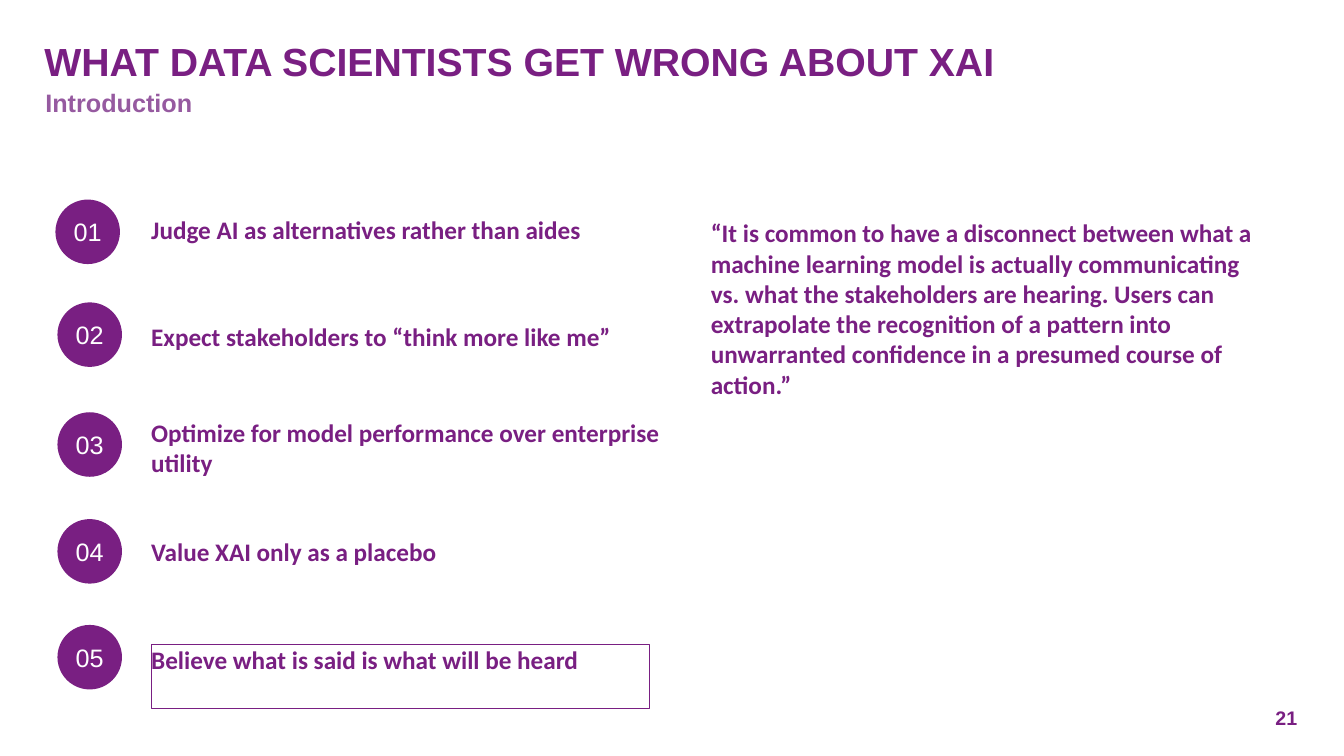
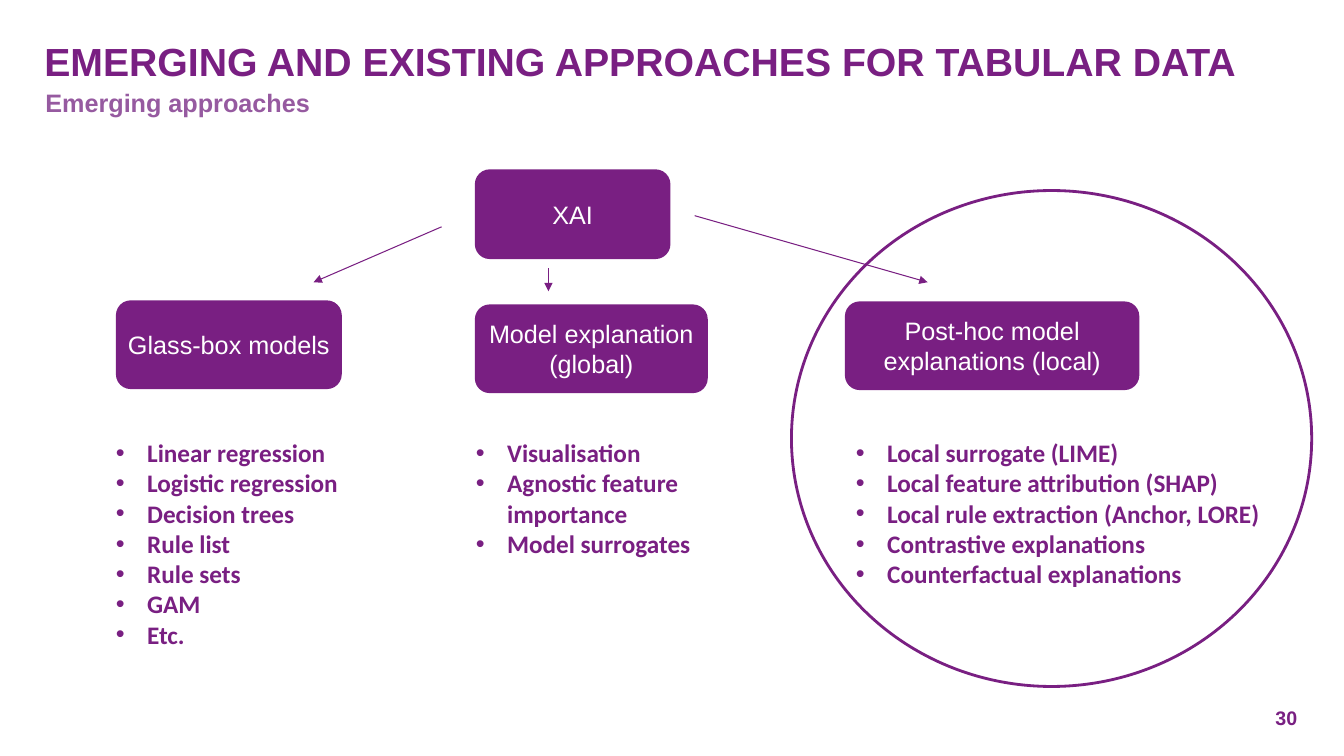
import pptx
import pptx.util
import pptx.dml.color
import pptx.enum.shapes
import pptx.enum.text
from lxml import etree

Inches = pptx.util.Inches
Pt = pptx.util.Pt
SHAPE = pptx.enum.shapes.MSO_SHAPE
ANCHOR = pptx.enum.text.MSO_ANCHOR
ALIGN = pptx.enum.text.PP_ALIGN

COLORS = {"purple": "791F82", "lilac": "965AA0", "white": "FFFFFF"}
FORMATS = {
    "title": ({"name": "Arial", "size": Pt(28), "bold": True}, "purple"),
    "subtitle": ({"name": "Arial", "size": Pt(18), "bold": True}, "lilac"),
    "number": ({"name": "Arial", "size": Pt(14), "bold": True}, "purple"),
    "node": ({"name": "Arial", "size": Pt(18), "bold": False}, "white"),
    "body": ({"name": "Calibri", "size": Pt(18), "bold": True}, "purple"),
}
CIRCLE = 0.64
INDENT = 0.31

MISTAKES = [
    (0.55, 1.98, 2.13, 5.1, "Judge AI as alternatives rather than aides"),
    (0.57, 3.0, 3.19, 5.27, "Expect stakeholders to “think more like me”"),
    (0.57, 4.09, 4.14, 5.1, "Optimize for model performance over enterprise utility"),
    (0.57, 5.15, 5.32, 5.1, "Value XAI only as a placebo"),
    (0.57, 6.2, 6.39, 4.94, "Believe what is said is what will be heard"),
]
QUOTE = (
    "“It is common to have a disconnect between what a machine learning model is "
    "actually communicating vs. what the stakeholders are hearing. Users can "
    "extrapolate the recognition of a pattern into unwarranted confidence in a "
    "presumed course of action.”"
)
APPROACHES = [
    ("Glass-box models", (1.15, 2.98, 2.24, 0.88), (1.15, 4.34, 2.46, 2.24),
     ["Linear regression", "Logistic regression", "Decision trees", "Rule list",
      "Rule sets", "GAM", "Etc."]),
    ("Model explanation (global)", (4.71, 3.02, 2.31, 0.88), (4.72, 4.34, 2.76, 2.36),
     ["Visualisation", "Agnostic feature importance", "Model surrogates"]),
    ("Post-hoc model explanations (local)", (8.38, 2.99, 2.92, 0.88),
     (8.49, 4.34, 4.53, 2.48),
     ["Local surrogate (LIME)", "Local feature attribution (SHAP)",
      "Local rule extraction (Anchor, LORE)", "Contrastive explanations",
      "Counterfactual explanations"]),
]
ARROWS = [(4.38, 2.25, 3.11, 2.8), (5.44, 2.66, 5.44, 2.89), (6.89, 2.14, 9.2, 2.8)]


def rgb(color):
    """Return the named colour."""
    return pptx.dml.color.RGBColor.from_string(COLORS[color])


def set_line(line, width):
    """Give a line the deck's purple and a width in points."""
    line.color.rgb = rgb("purple")
    line.width = Pt(width)


def add_child(parent, tag, **attrs):
    """Append a DrawingML element to a parent."""
    child = etree.SubElement(parent, pptx.oxml.ns.qn(tag))
    for name, value in attrs.items():
        child.set(name, value)


def add_bullet(p):
    """Give a paragraph a round bullet and a hanging indent."""
    pPr = p._p.get_or_add_pPr()
    pPr.set("marL", str(Inches(INDENT)))
    pPr.set("indent", str(-Inches(INDENT)))
    add_child(pPr, "a:buFont", typeface="Arial")
    add_child(pPr, "a:buChar", char="•")


def write(sp, lines, style, anchor=ANCHOR.TOP, align=ALIGN.LEFT, spacing=None, bullets=False):
    """Fill a shape with one styled paragraph for each line."""
    tf = sp.text_frame
    frame = {"word_wrap": True, "vertical_anchor": anchor, "margin_left": 0,
             "margin_top": 0, "margin_right": 0, "margin_bottom": 0}
    for name, value in frame.items():
        setattr(tf, name, value)
    values, color = FORMATS[style]
    for i, line in enumerate(lines):
        p = tf.add_paragraph() if i else tf.paragraphs[0]
        p.alignment = align
        if spacing:
            p.line_spacing = spacing
        if bullets:
            add_bullet(p)
        r = p.add_run()
        r.text = line
        for name, value in values.items():
            setattr(r.font, name, value)
        r.font.color.rgb = rgb(color)


def add_text(s, box, lines, style, **options):
    """Add a text box."""
    sp = s.shapes.add_textbox(*map(Inches, box))
    write(sp, lines, style, **options)
    return sp


def add_node(s, kind, box, text):
    """Add a filled shape with a centred label."""
    sp = s.shapes.add_shape(kind, *map(Inches, box))
    sp.shadow.inherit = False
    sp.fill.solid()
    sp.fill.fore_color.rgb = rgb("purple")
    sp.line.fill.background()
    write(sp, [text], "node", anchor=ANCHOR.MIDDLE, align=ALIGN.CENTER)


def add_ring(s, box):
    """Add an outlined ellipse."""
    sp = s.shapes.add_shape(SHAPE.OVAL, *map(Inches, box))
    sp.shadow.inherit = False
    sp.fill.background()
    set_line(sp.line, 2)


def add_arrow(s, ends):
    """Add a thin straight arrow."""
    cx = s.shapes.add_connector(pptx.enum.shapes.MSO_CONNECTOR.STRAIGHT, *map(Inches, ends))
    set_line(cx.line, 0.75)
    add_child(cx.line._get_or_add_ln(), "a:tailEnd", type="triangle")
    add_child(cx._element.spPr, "a:effectLst")


def add_slide(prs, title, subtitle, number):
    """Add a slide with its heading and page number."""
    s = prs.slides.add_slide(prs.slide_layouts[6])
    add_text(s, (0.44, 0.29, 12.42, 0.55), [title], "title", anchor=ANCHOR.BOTTOM)
    add_text(s, (0.45, 0.81, 12.41, 0.47), [subtitle], "subtitle", spacing=1.2)
    add_text(s, (12.65, 7.03, 0.36, 0.21), [number], "number", anchor=ANCHOR.BOTTOM)
    return s


def add_mistakes(s, label_left):
    """Add the numbered list and frame its last label."""
    for i, (left, top, label_top, width, text) in enumerate(MISTAKES, 1):
        add_node(s, SHAPE.OVAL, (left, top, CIRCLE, CIRCLE), f"{i:02}")
        label = add_text(s, (label_left, label_top, width, CIRCLE), [text], "body")
    set_line(label.line, 0.75)


def add_approaches(s, root):
    """Add the tree of approaches below its root box."""
    add_node(s, SHAPE.ROUNDED_RECTANGLE, root, "XAI")
    for name, box, list_box, methods in APPROACHES:
        add_node(s, SHAPE.ROUNDED_RECTANGLE, box, name)
        add_text(s, list_box, methods, "body", bullets=True)
    for ends in ARROWS:
        add_arrow(s, ends)


def main():
    """Build and save the deck."""
    prs = pptx.Presentation()
    prs.slide_width, prs.slide_height = Inches(13.33), Inches(7.5)
    s = add_slide(prs, "WHAT DATA SCIENTISTS GET WRONG ABOUT XAI", "Introduction", "21")
    add_mistakes(s, 1.5)
    add_text(s, (7.05, 2.16, 5.56, 4.37), [QUOTE], "body")
    s = add_slide(prs, "EMERGING AND EXISTING APPROACHES FOR TABULAR DATA",
                  "Emerging approaches", "30")
    add_approaches(s, (4.71, 1.68, 1.94, 0.89))
    add_ring(s, (7.85, 1.89, 5.16, 4.92))
    prs.save("out.pptx")


if __name__ == "__main__":
    main()
